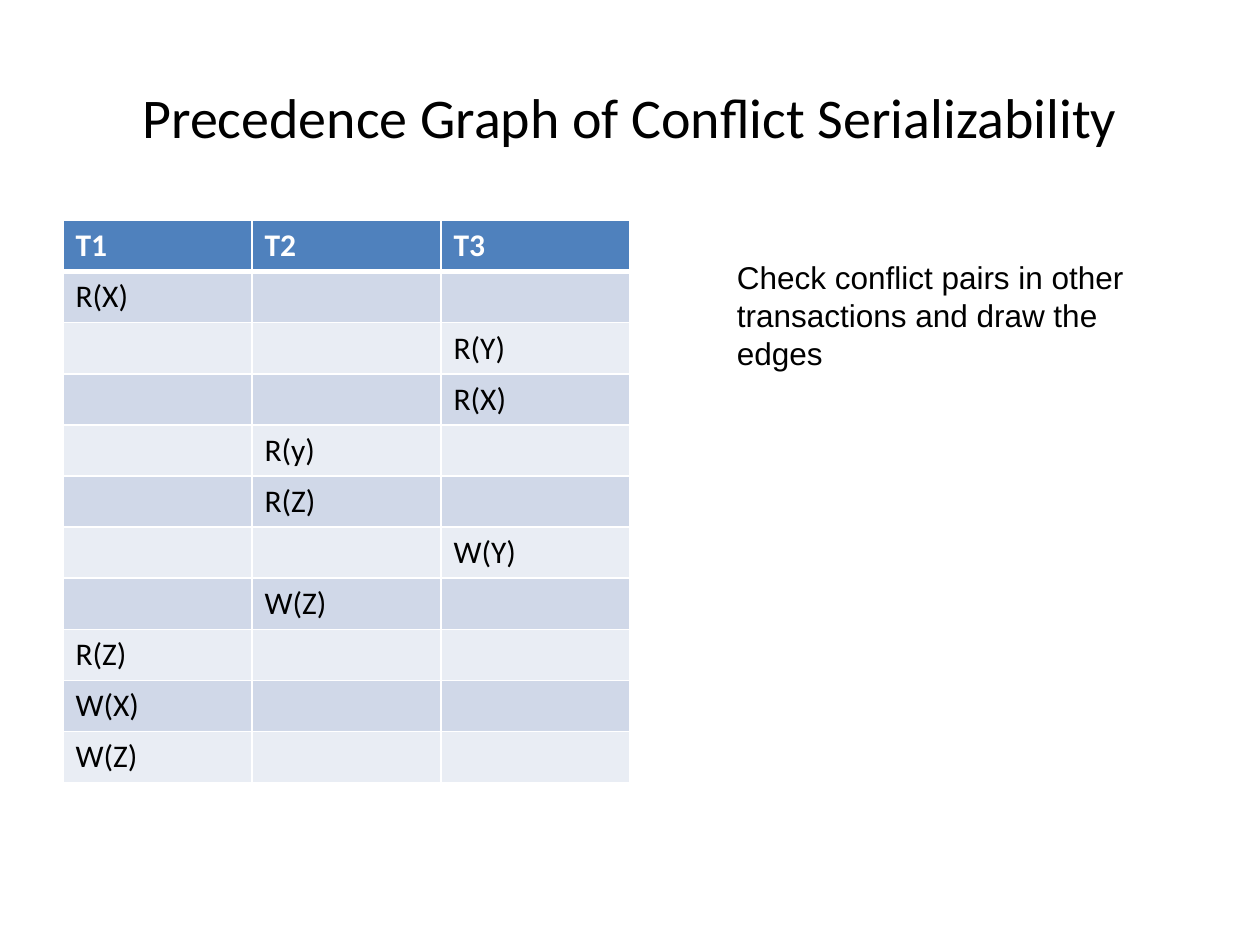
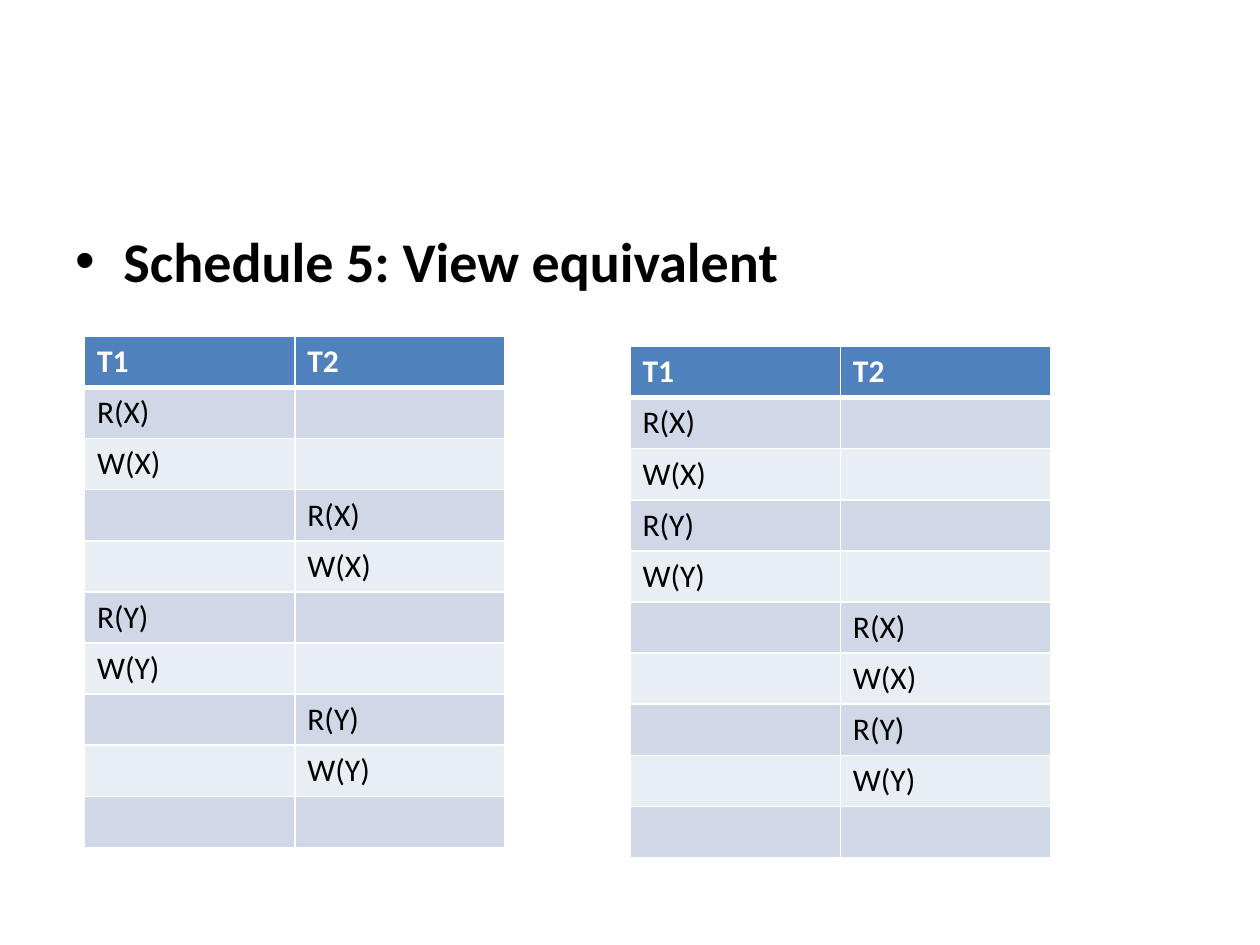
from dataclasses import dataclass

from lxml import etree
from pptx import Presentation
from pptx.dml.color import RGBColor as Rgb
from pptx.enum.text import MSO_ANCHOR as Anchor, MSO_AUTO_SIZE as AutoSize, PP_ALIGN as Align
from pptx.oxml.ns import qn
from pptx.util import Inches, Pt


@dataclass(frozen=True)
class Theme:
    text: str = "000000"
    light: str = "FFFFFF"
    header: str = "4F81BD"
    bands: tuple = ("D0D8E8", "E9EDF4")
    font: str = "Calibri"
    note_font: str = "Arial"
    heading_size: int = 32
    body_size: int = 18
    thin: int = 1
    thick: int = 3
    row_height: int = Pt(29.2)


class Deck:
    TITLE_AND_CONTENT = 1
    TITLE_ONLY = 5

    def __init__(self, theme):
        self.theme = theme
        self.presentation = Presentation()
        self.presentation.slide_width = Inches(10)
        self.presentation.slide_height = Inches(7.5)
        self.slide = None

    def start_slide(self, layout):
        self.slide = self.presentation.slides.add_slide(self.presentation.slide_layouts[layout])

    def place(self, shape, left, top, width, height):
        shape.left, shape.top = Inches(left), Inches(top)
        shape.width, shape.height = Inches(width), Inches(height)

    def add_text(self, paragraph, text, size, font=None, color=None, bold=False):
        run = paragraph.add_run()
        run.text = text
        run.font.size = Pt(size)
        run.font.name = font or self.theme.font
        run.font.color.rgb = Rgb.from_string(color or self.theme.text)
        run.font.bold = bold

    def title_slide(self, text):
        self.start_slide(self.TITLE_ONLY)
        title = self.slide.shapes.title
        self.place(title, 0.5, 0.3, 9, 1.25)
        title.text_frame.vertical_anchor = Anchor.MIDDLE
        paragraph = title.text_frame.paragraphs[0]
        paragraph.alignment = Align.CENTER
        self.add_text(paragraph, text, self.theme.heading_size)

    def bullet_slide(self, text):
        self.start_slide(self.TITLE_AND_CONTENT)
        title = self.slide.shapes.title
        title.element.getparent().remove(title.element)
        body = self.slide.placeholders[1]
        self.place(body, 0.5, 1.75, 9, 1.29)
        body.text_frame.auto_size = AutoSize.SHAPE_TO_FIT_TEXT
        paragraph = body.text_frame.paragraphs[0]
        paragraph.space_before = Pt(0)
        properties = paragraph._p.get_or_add_pPr()
        properties.set("marL", str(Inches(0.38)))
        properties.set("indent", str(Inches(-0.38)))
        etree.SubElement(properties, qn("a:buFont"), typeface=self.theme.note_font)
        etree.SubElement(properties, qn("a:buChar"), char="•")
        self.add_text(paragraph, text, self.theme.heading_size, bold=True)

    def note(self, text, left, top, width, height):
        box = self.slide.shapes.add_textbox(Inches(left), Inches(top), Inches(width), Inches(height))
        box.text_frame.word_wrap = True
        box.text_frame.auto_size = AutoSize.SHAPE_TO_FIT_TEXT
        self.add_text(box.text_frame.paragraphs[0], text, self.theme.body_size, self.theme.note_font)

    def style_cell(self, cell, fill, top, bottom):
        properties = cell._tc.get_or_add_tcPr()
        sides = {"lnL": self.theme.thin, "lnR": self.theme.thin, "lnT": top, "lnB": bottom}
        for side, width in sides.items():
            line = etree.SubElement(properties, qn(f"a:{side}"), w=str(Pt(width)))
            solid = etree.SubElement(line, qn("a:solidFill"))
            etree.SubElement(solid, qn("a:srgbClr"), val=self.theme.light)
        cell.fill.solid()
        cell.fill.fore_color.rgb = Rgb.from_string(fill)

    def schedule(self, transactions, operations, left, top, column_width, spare_rows=0):
        theme = self.theme
        row_count = 1 + len(operations) + spare_rows
        table = self.slide.shapes.add_table(
            row_count, len(transactions), Inches(left), Inches(top),
            Inches(column_width * len(transactions)), theme.row_height * row_count).table
        for row in range(row_count):
            fill = theme.bands[(row - 1) % 2] if row else theme.header
            for cell in table.rows[row].cells:
                self.style_cell(cell, fill, theme.thick if row == 1 else theme.thin,
                                theme.thin if row else theme.thick)
        for column, name in enumerate(transactions):
            heading = table.cell(0, column).text_frame.paragraphs[0]
            self.add_text(heading, name, theme.body_size, color=theme.light, bold=True)
        for row, (name, operation) in enumerate(operations, start=1):
            step = table.cell(row, transactions.index(name)).text_frame.paragraphs[0]
            self.add_text(step, operation, theme.body_size)


def main():
    deck = Deck(Theme())

    deck.title_slide("Precedence Graph of Conflict Serializability")
    conflict_steps = [
        ("T1", "R(X)"), ("T3", "R(Y)"), ("T3", "R(X)"), ("T2", "R(y)"), ("T2", "R(Z)"),
        ("T3", "W(Y)"), ("T2", "W(Z)"), ("T1", "R(Z)"), ("T1", "W(X)"), ("T1", "W(Z)"),
    ]
    deck.schedule(["T1", "T2", "T3"], conflict_steps, 0.5, 1.75, 1.5)
    deck.note("Check conflict pairs in other transactions and draw the edges", 5.75, 2, 3.64, 1.01)

    deck.bullet_slide("Schedule 5: View equivalent")
    on_x = ["R(X)", "W(X)"]
    on_y = ["R(Y)", "W(Y)"]
    interleaved = [(name, step) for steps in (on_x, on_y) for name in ("T1", "T2") for step in steps]
    serial = [(name, step) for name in ("T1", "T2") for step in on_x + on_y]
    for operations, left, top in ((interleaved, 0.67, 2.67), (serial, 5, 2.75)):
        deck.schedule(["T1", "T2"], operations, left, top, 1.67, spare_rows=1)

    deck.presentation.save("out.pptx")


if __name__ == "__main__":
    main()
